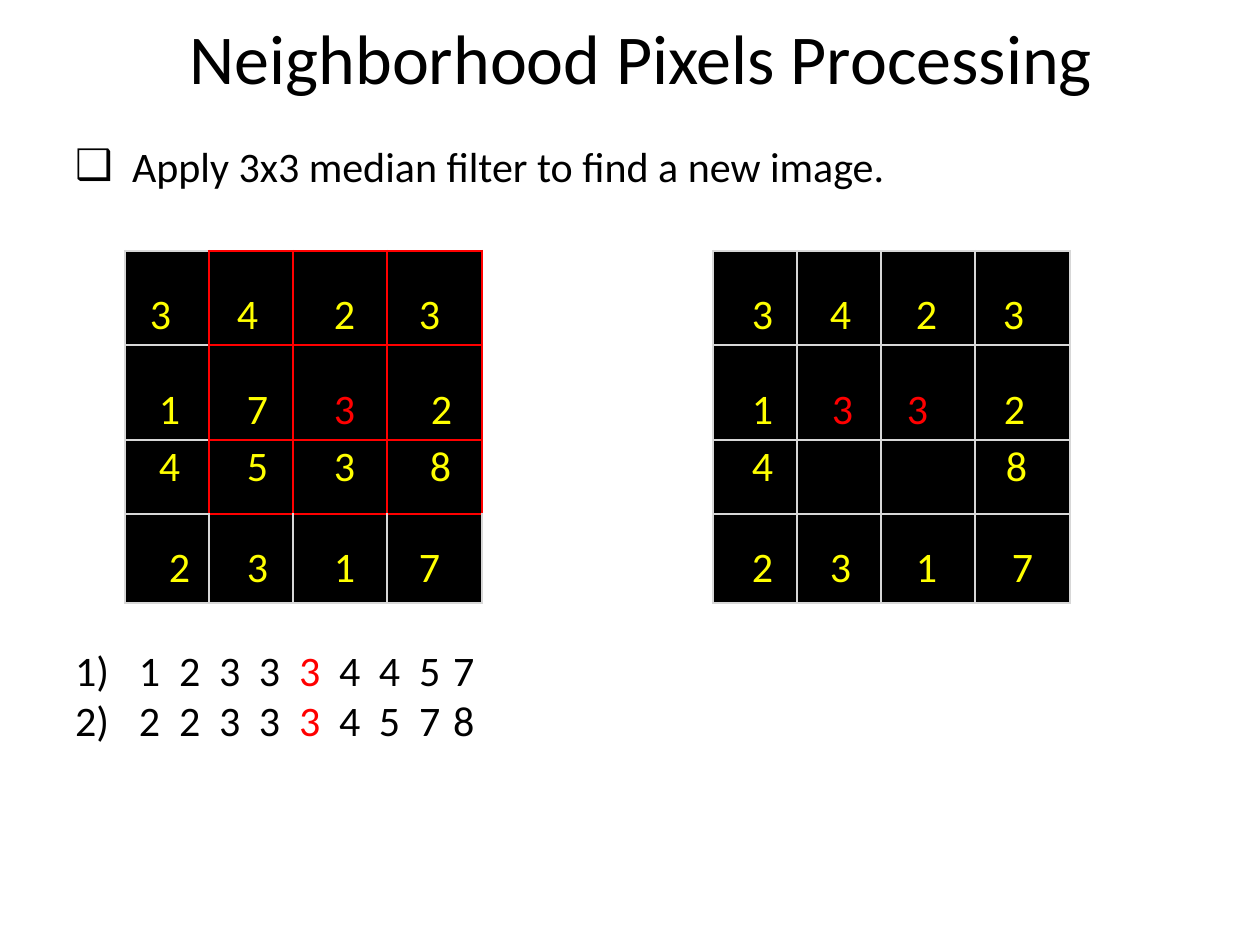
"""Build the slide on median filtering of a 4 by 4 pixel grid."""
from dataclasses import dataclass
from itertools import accumulate

from lxml.etree import SubElement
from pptx import Presentation
from pptx.dml.color import RGBColor
from pptx.enum.text import MSO_ANCHOR, MSO_AUTO_SIZE, PP_ALIGN
from pptx.oxml import parse_xml
from pptx.oxml.ns import nsdecls, qn
from pptx.util import Emu, Pt


@dataclass(frozen=True)
class Theme:
    face: str = "Calibri"
    ink: str = "000000"
    paper: str = "FFFFFF"
    digit: str = "FFFF00"
    mark: str = "FF0000"
    line: str = "D7D7D7"
    head: int = 40
    body: int = 24
    edge: float = 1.5


def px(n):
    return Emu(round(n * 914400 / 126))


def style(run, color, size):
    run.font.name = theme.face
    run.font.size = Pt(size)
    run.font.color.rgb = RGBColor.from_string(color)


theme = Theme()
deck = Presentation()
deck.slide_width, deck.slide_height = px(1260), px(945)
slide = deck.slides.add_slide(deck.slide_layouts[1])
slide.background.fill.solid()
slide.background.fill.fore_color.rgb = RGBColor.from_string(theme.paper)

title, body = slide.placeholders
steps = slide.shapes.add_textbox(0, 0, 0, 0)
boxes = [
    (title, (74, 13, 1134, 87)),
    (body, (74, 139, 813, 54)),
    (steps, (74, 643, 408, 105)),
]
for box, place in boxes:
    box.left, box.top, box.width, box.height = map(px, place)
    frame = box.text_frame
    frame.word_wrap = True
    frame.auto_size = MSO_AUTO_SIZE.NONE
    frame.margin_left = frame.margin_right = frame.margin_bottom = 0
    frame.margin_top = px(1)

title.text_frame.text = "Neighborhood Pixels Processing"
title.text_frame.vertical_anchor = MSO_ANCHOR.MIDDLE
para = title.text_frame.paragraphs[0]
para.alignment = PP_ALIGN.CENTER
style(para.runs[0], theme.ink, theme.head)

body.text_frame.text = "Apply 3x3 median filter to find a new image."
para = body.text_frame.paragraphs[0]
props = para._p.get_or_add_pPr()
props.set("marL", str(px(58)))
props.set("indent", str(px(-57)))
SubElement(props, qn("a:buChar")).set("char", "❑")
para.space_before = Pt(0)
style(para.runs[0], theme.ink, theme.body)

lists = [
    ("1)\t1\t2\t3\t3\t", "3", "\t4\t4\t5\t7"),
    ("2)\t2\t2\t3\t3\t", "3", "\t4\t5\t7\t8"),
]
frame = steps.text_frame
frame.margin_left = px(1)
for i, parts in enumerate(lists):
    para = frame.add_paragraph() if i else frame.paragraphs[0]
    tabs = SubElement(para._p.get_or_add_pPr(), qn("a:tabLst"))
    for stop in range(64, 345, 40):
        tab = SubElement(tabs, qn("a:tab"))
        tab.set("pos", str(px(stop)))
        tab.set("algn", "l")
    for text, color in zip(parts, (theme.ink, theme.mark, theme.ink)):
        run = para.add_run()
        run.text = text
        style(run, color, theme.body)

cols = [84, 84, 94, 95]
rows = [94, 95, 74, 89]
drops = [39, 40, 2, 29]
sides = {"lnL": (0, -1), "lnR": (0, 1), "lnT": (-1, 0), "lnB": (1, 0)}
window = {(r, c) for r in range(3) for c in range(1, 4)}
grids = [
    (713, ["3423", "1332", "4  8", "2317"], {(1, 1), (1, 2)}, set(),
     [(39, 33, 35, 28), (39, 35, 26, 29), (39, 0, 0, 31), (39, 33, 35, 37)]),
    (125, ["3423", "1732", "4538", "2317"], {(1, 2)}, window,
     [(25, 28, 41, 32), (34, 38, 41, 44), (34, 38, 41, 43), (44, 38, 41, 32)]),
]
for left, digits, marks, area, insets in grids:
    table = slide.shapes.add_table(
        4, 4, px(left), px(251), px(sum(cols)), px(sum(rows))).table
    table.first_row = table.horz_banding = False
    for col, end, size in zip(table.columns, accumulate(cols), cols):
        col.width = px(end) - px(end - size)
    for row, size in zip(table.rows, rows):
        row.height = px(size)
    for r, line in enumerate(digits):
        for c, digit in enumerate(line):
            cell = table.cell(r, c)
            cell.margin_left, cell.margin_top = px(insets[r][c]), px(drops[r])
            cell.margin_right = cell.margin_bottom = 0
            cell.fill.solid()
            cell.fill.fore_color.rgb = RGBColor.from_string(theme.ink)
            if digit.strip():
                cell.text_frame.text = digit
                color = theme.mark if (r, c) in marks else theme.digit
                style(cell.text_frame.paragraphs[0].runs[0], color, theme.body)
            for i, (side, (down, right)) in enumerate(sides.items()):
                near = {(r, c), (r + down, c + right)} & area
                color = theme.mark if near else theme.line
                cell._tc.get_or_add_tcPr().insert(i, parse_xml(
                    f'<a:{side} {nsdecls("a")} w="{Pt(theme.edge)}"><a:solidFill>'
                    f'<a:srgbClr val="{color}"/></a:solidFill></a:{side}>'))

deck.save("out.pptx")
